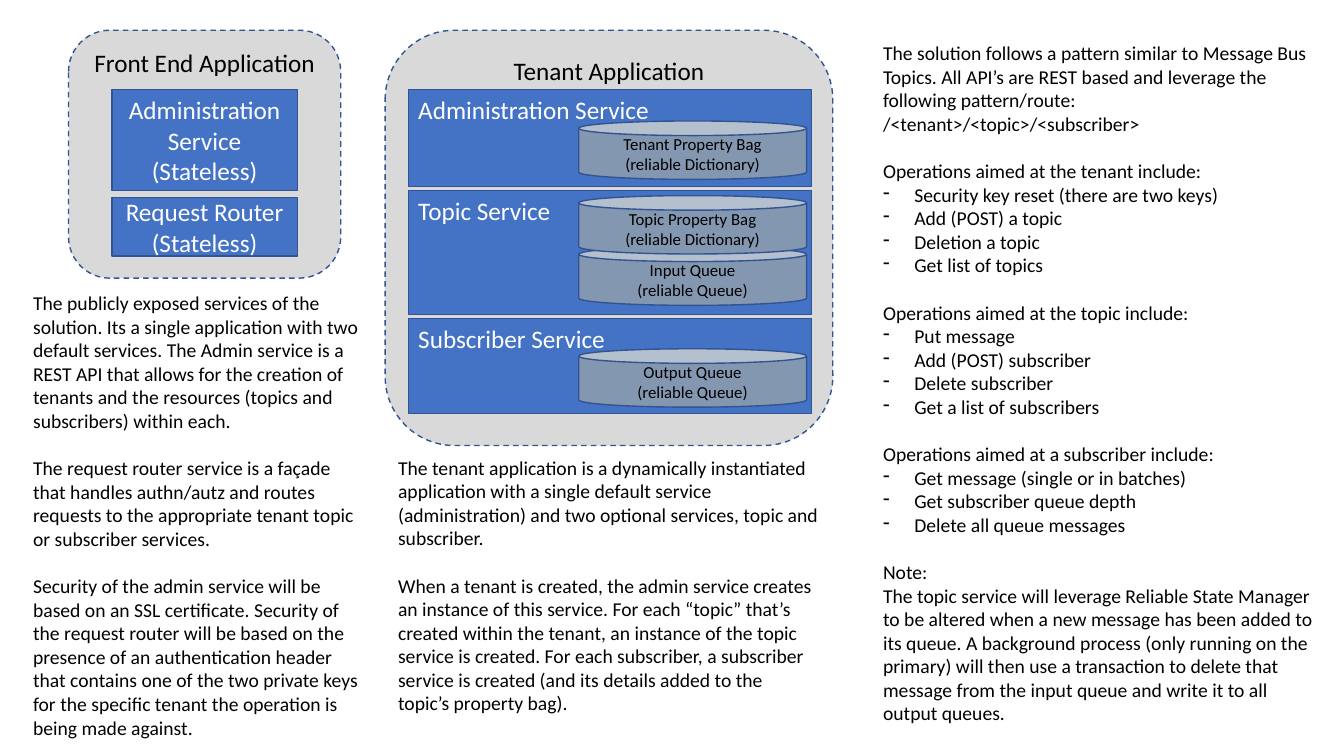
from dataclasses import dataclass

from lxml.etree import SubElement
from pptx import Presentation
from pptx.dml.color import RGBColor
from pptx.enum.dml import MSO_LINE_DASH_STYLE as DASH
from pptx.enum.shapes import MSO_SHAPE as SHAPE
from pptx.enum.text import MSO_ANCHOR as ANCHOR, MSO_AUTO_SIZE as AUTO_SIZE, PP_ALIGN as ALIGN
from pptx.oxml.ns import qn
from pptx.shapes.autoshape import Shape
from pptx.text.text import TextFrame
from pptx.util import Inches, Pt

COLORS = {"panel": "D9D9D9", "service": "4472C4", "store": "8497B0",
          "outline": "325491", "dark": "000000", "light": "FFFFFF"}
FONT = "Calibri"
PARAGRAPH_GAP = 17
BULLET_INDENT = Inches(0.31)


@dataclass
class Box:
    """Position and size in inches."""
    left: float
    top: float
    width: float
    height: float

    def lengths(self) -> list[Inches]:
        """Return the four values as slide lengths."""
        return [Inches(v) for v in (self.left, self.top, self.width, self.height)]


@dataclass
class Store:
    """A reliable collection kept by a tenant service."""
    label: str
    kind: str
    top: float


@dataclass
class Service:
    """A tenant service with its stores, from back to front."""
    name: str
    top: float
    height: float
    stores: list[Store]


@dataclass
class Section:
    """Paragraphs and dashed items set apart from the section above."""
    paragraphs: list[str]
    items: tuple[str, ...] = ()


def write(frame: TextFrame, text: str, *, size: float, color: str = "dark",
          align: ALIGN = ALIGN.LEFT, before: float = 0, dashed: bool = False) -> None:
    """Add one formatted paragraph to the frame."""
    first = frame.paragraphs[0]
    paragraph = frame.add_paragraph() if first.runs else first
    paragraph.alignment = align
    paragraph.space_before = Pt(before)
    run = paragraph.add_run()
    run.text = text
    run.font.name, run.font.size = FONT, Pt(size)
    run.font.color.rgb = RGBColor.from_string(COLORS[color])
    if dashed:
        properties = paragraph._p.get_or_add_pPr()
        properties.set("marL", str(BULLET_INDENT))
        properties.set("indent", str(-BULLET_INDENT))
        SubElement(properties, qn("a:buFontTx"))
        SubElement(properties, qn("a:buChar")).set("char", "-")


def draw(shapes, kind: SHAPE, box: Box, fill: str, lines: list[str], *, size: float = 18,
         color: str = "light", align: ALIGN = ALIGN.CENTER,
         anchor: ANCHOR = ANCHOR.MIDDLE) -> Shape:
    """Draw an outlined shape holding text lines."""
    shape = shapes.add_shape(kind, *box.lengths())
    shape.shadow.inherit = False
    shape.fill.solid()
    shape.fill.fore_color.rgb = RGBColor.from_string(COLORS[fill])
    shape.line.color.rgb = RGBColor.from_string(COLORS["outline"])
    shape.line.width = Pt(1)
    shape.text_frame.word_wrap = True
    shape.text_frame.vertical_anchor = anchor
    for line in lines:
        write(shape.text_frame, line, size=size, color=color, align=align)
    return shape


def draw_application(shapes, name: str, box: Box) -> None:
    """Draw a dashed application panel with its name at the top."""
    panel = draw(shapes, SHAPE.ROUNDED_RECTANGLE, box, "panel", [name],
                 color="dark", anchor=ANCHOR.TOP)
    panel.line.dash_style = DASH.DASH


def draw_service(shapes, service: Service) -> None:
    """Draw a tenant service grouped with its stores."""
    members = shapes.add_group_shape().shapes
    draw(members, SHAPE.RECTANGLE, Box(4.05, service.top, 4, service.height), "service",
         [service.name], align=ALIGN.LEFT, anchor=ANCHOR.TOP)
    for store in service.stores:
        draw(members, SHAPE.CAN, Box(5.74, store.top, 2.26, 0.58), "store",
             [store.label, f"(reliable {store.kind})"], size=12, color="dark")


def draw_notes(shapes, box: Box, sections: list[Section]) -> None:
    """Draw a column of explanatory text."""
    frame = shapes.add_textbox(*box.lengths()).text_frame
    frame.word_wrap = True
    frame.auto_size = AUTO_SIZE.SHAPE_TO_FIT_TEXT
    for number, section in enumerate(sections):
        for position, text in enumerate(section.paragraphs):
            gap = PARAGRAPH_GAP if number and not position else 0
            write(frame, text, size=14, before=gap)
        for item in section.items:
            write(frame, item, size=14, dashed=True)


SERVICES = [
    Service("Administration Service", 0.89, 0.96,
            [Store("Tenant Property Bag", "Dictionary", 1.2)]),
    Service("Topic Service", 1.89, 1.23,
            [Store("Input Queue", "Queue", 2.45),
             Store("Topic Property Bag", "Dictionary", 1.94)]),
    Service("Subscriber Service", 3.16, 0.94,
            [Store("Output Queue", "Queue", 3.46)]),
]
FRONT_END_NOTES = [
    Section(["The publicly exposed services of the solution. Its a single application with two "
             "default services. The Admin service is a REST API that allows for the creation of "
             "tenants and the resources (topics and subscribers) within each."]),
    Section(["The request router service is a façade that handles authn/autz and routes requests "
             "to the appropriate tenant topic or subscriber services."]),
    Section(["Security of the admin service will be based on an SSL certificate. Security of the "
             "request router will be based on the presence of an authentication header that "
             "contains one of the two private keys for the specific tenant the operation is "
             "being made against."]),
]
TENANT_NOTES = [
    Section(["The tenant application is a dynamically instantiated application with a single "
             "default service (administration) and two optional services, topic and subscriber."]),
    Section(["When a tenant is created, the admin service creates an instance of this service. "
             "For each “topic” that’s created within the tenant, an instance of the topic service "
             "is created. For each subscriber, a subscriber service is created (and its details "
             "added to the topic’s property bag)."]),
]
API_NOTES = [
    Section(["The solution follows a pattern similar to Message Bus Topics. All API’s are REST "
             "based and leverage the following pattern/route:",
             "/<tenant>/<topic>/<subscriber>"]),
    Section(["Operations aimed at the tenant include:"],
            ("Security key reset (there are two keys)", "Add (POST) a topic",
             "Deletion a topic", "Get list of topics")),
    Section(["Operations aimed at the topic include:"],
            ("Put message", "Add (POST) subscriber", "Delete subscriber",
             "Get a list of subscribers")),
    Section(["Operations aimed at a subscriber include:"],
            ("Get message (single or in batches)", "Get subscriber queue depth",
             "Delete all queue messages")),
    Section(["Note:",
             "The topic service will leverage Reliable State Manager to be altered when a new "
             "message has been added to its queue. A background process (only running on the "
             "primary) will then use a transaction to delete that message from the input queue "
             "and write it to all output queues."]),
]

deck = Presentation()
deck.slide_width, deck.slide_height = Inches(13.33), Inches(7.5)
canvas = deck.slides.add_slide(deck.slide_layouts[6]).shapes

draw_application(canvas, "Front End Application", Box(0.68, 0.3, 2.7, 2.46))
for role, top, height in (("Administration Service", 0.89, 1), ("Request Router", 1.96, 0.58)):
    draw(canvas, SHAPE.RECTANGLE, Box(1.11, top, 1.84, height), "service",
         [role, "(Stateless)"])

draw_application(canvas, "Tenant Application", Box(3.82, 0.3, 4.44, 4.12))
for tenant_service in SERVICES:
    draw_service(canvas, tenant_service)

draw_notes(canvas, Box(0.23, 2.84, 3.45, 4.58), FRONT_END_NOTES)
draw_notes(canvas, Box(3.85, 4.47, 4.37, 2.69), TENANT_NOTES)
draw_notes(canvas, Box(8.66, 0.36, 4.52, 7.17), API_NOTES)

deck.save("out.pptx")
